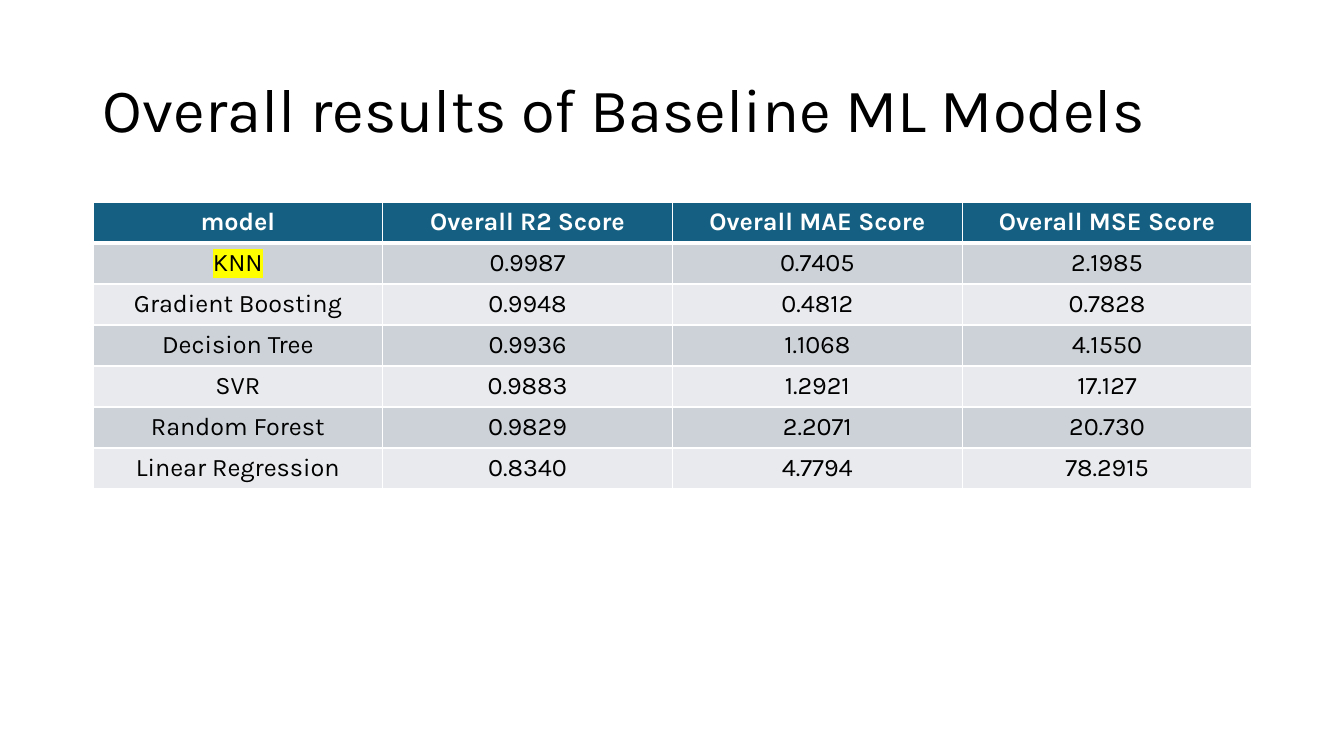
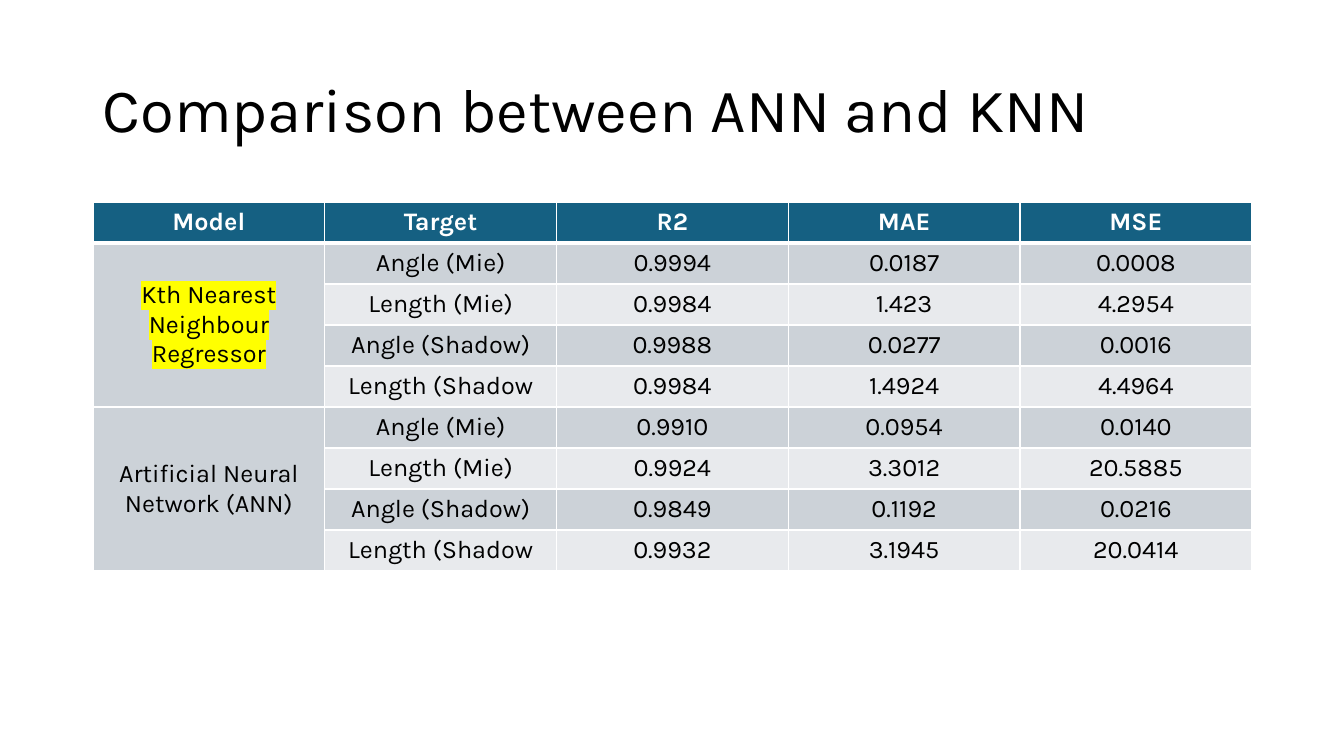
from lxml import etree
from pptx import Presentation
from pptx.dml.color import RGBColor
from pptx.enum.text import MSO_ANCHOR, PP_ALIGN
from pptx.oxml.ns import qn
from pptx.util import Emu, Pt

PX = 914400 / 100.8
SLIDE_SIZE = (1344, 756)
TITLE_BOX = (93, 40, 1159, 146)
TABLE_BOX = (93, 202, 1159)
ROW_HEIGHT = 41

FONT = "Karla"
BLACK = RGBColor(0x00, 0x00, 0x00)
WHITE = RGBColor(0xFF, 0xFF, 0xFF)
TEAL = RGBColor(0x15, 0x60, 0x82)
BANDS = (RGBColor(0xCC, 0xD2, 0xD8), RGBColor(0xE8, 0xEA, 0xED))
YELLOW = RGBColor(0xFF, 0xFF, 0x00)

BASELINE_ROWS = [
    ("model", "Overall R2 Score", "Overall MAE Score", "Overall MSE Score"),
    ("KNN", "0.9987", "0.7405", "2.1985"),
    ("Gradient Boosting", "0.9948", "0.4812", "0.7828"),
    ("Decision Tree", "0.9936", "1.1068", "4.1550"),
    ("SVR", "0.9883", "1.2921", "17.127"),
    ("Random Forest", "0.9829", "2.2071", "20.730"),
    ("Linear Regression", "0.8340", "4.7794", "78.2915"),
]
# None continues the cell above.
COMPARISON_ROWS = [
    ("Model", "Target", "R2", "MAE", "MSE"),
    ("Kth Nearest Neighbour Regressor", "Angle (Mie)", "0.9994", "0.0187", "0.0008"),
    (None, "Length (Mie)", "0.9984", "1.423", "4.2954"),
    (None, "Angle (Shadow)", "0.9988", "0.0277", "0.0016"),
    (None, "Length (Shadow", "0.9984", "1.4924", "4.4964"),
    ("Artificial Neural Network (ANN)", "Angle (Mie)", "0.9910", "0.0954", "0.0140"),
    (None, "Length (Mie)", "0.9924", "3.3012", "20.5885"),
    (None, "Angle (Shadow)", "0.9849", "0.1192", "0.0216"),
    (None, "Length (Shadow", "0.9932", "3.1945", "20.0414"),
]


def px(length):
    """Turn pixels into EMU."""
    return Emu(round(length * PX))


def add_run(paragraph, text, size, color, bold=False):
    """Add a run of text in the deck's font."""
    run = paragraph.add_run()
    run.text = text
    run.font.size = Pt(size)
    run.font.bold = bold
    run.font.color.rgb = color
    run.font.name = FONT
    return run


def add_solid(parent, tag, color):
    """Append an element holding one sRGB colour and return it."""
    holder = etree.SubElement(parent, qn(tag))
    etree.SubElement(holder, qn("a:srgbClr"), val=str(color))
    return holder


def highlight(run, color):
    """Mark a run with a background colour."""
    properties = run.font._element
    mark = add_solid(properties, "a:highlight", color)
    properties.find(qn("a:solidFill")).addnext(mark)


def set_borders(cell, top, bottom):
    """Draw white borders; top and bottom widths are in points."""
    properties = cell._tc.get_or_add_tcPr()
    sides = (("a:lnL", 1), ("a:lnR", 1), ("a:lnT", top), ("a:lnB", bottom))
    for index, (tag, width) in enumerate(sides):
        line = etree.Element(qn(tag), w=str(Pt(width)))
        add_solid(line, "a:solidFill", WHITE)
        properties.insert(index, line)


def add_title(slide, box, text):
    """Place the slide title, centred vertically in its box."""
    frame = slide.shapes.add_textbox(*map(px, box)).text_frame
    frame.word_wrap = True
    frame.vertical_anchor = MSO_ANCHOR.MIDDLE
    paragraph = frame.paragraphs[0]
    paragraph.line_spacing = 0.9
    add_run(paragraph, text, 44, BLACK)


def fill_cell(cell, text, row):
    """Style one cell by its row and write its text."""
    header = row == 0
    cell.fill.solid()
    cell.fill.fore_color.rgb = TEAL if header else BANDS[(row - 1) % 2]
    set_borders(cell, 3 if row == 1 else 1, 3 if header else 1)
    cell.vertical_anchor = MSO_ANCHOR.MIDDLE
    if text is None:
        return
    paragraph = cell.text_frame.paragraphs[0]
    paragraph.alignment = PP_ALIGN.CENTER
    add_run(paragraph, text, 18, WHITE if header else BLACK, header)


def add_score_table(slide, box, rows):
    """Place a banded table of equal columns, marking the first model."""
    left, top, width = box
    columns = len(rows[0])
    table = slide.shapes.add_table(
        len(rows), columns, px(left), px(top), px(width), px(ROW_HEIGHT * len(rows))
    ).table
    for column in table.columns:
        column.width = px(width / columns)
    for r, values in enumerate(rows):
        table.rows[r].height = px(ROW_HEIGHT)
        for c, value in enumerate(values):
            fill_cell(table.cell(r, c), value, r)
    starts = [r for r, values in enumerate(rows) if values[0] is not None]
    for start, end in zip(starts, starts[1:] + [len(rows)]):
        if end - start > 1:
            table.cell(start, 0).merge(table.cell(end - 1, 0))
    highlight(table.cell(1, 0).text_frame.paragraphs[0].runs[0], YELLOW)


def add_results_slide(deck, title, rows):
    """Add a slide with a title above a score table."""
    slide = deck.slides.add_slide(deck.slide_layouts[6])
    slide.background.fill.solid()
    slide.background.fill.fore_color.rgb = WHITE
    add_title(slide, TITLE_BOX, title)
    add_score_table(slide, TABLE_BOX, rows)


def main():
    """Build and save the deck."""
    deck = Presentation()
    deck.slide_width, deck.slide_height = map(px, SLIDE_SIZE)
    add_results_slide(deck, "Overall results of Baseline ML Models", BASELINE_ROWS)
    add_results_slide(deck, "Comparison between ANN and KNN", COMPARISON_ROWS)
    deck.save("out.pptx")


main()
